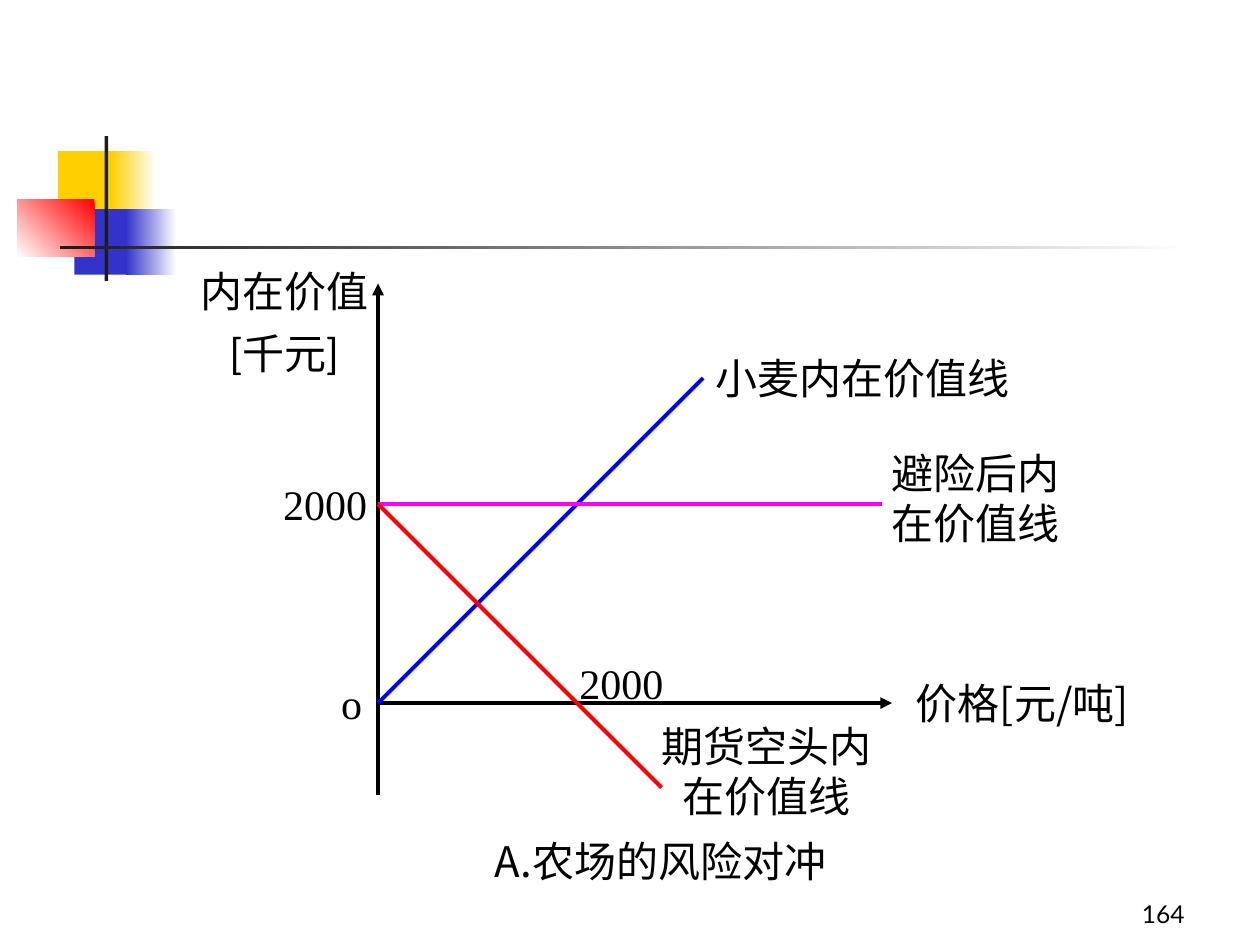
from lxml.etree import SubElement
from pptx import Presentation
from pptx.dml.color import RGBColor
from pptx.enum.shapes import MSO_CONNECTOR, MSO_SHAPE
from pptx.enum.text import MSO_ANCHOR, MSO_AUTO_SIZE, PP_ALIGN
from pptx.oxml.ns import qn
from pptx.util import Inches, Pt

BLACK = RGBColor(0x00, 0x00, 0x00)
WHITE = RGBColor(0xFF, 0xFF, 0xFF)
CHARCOAL = RGBColor(0x1C, 0x1C, 0x1C)
GOLD = RGBColor(0xFF, 0xCF, 0x01)
INDIGO = RGBColor(0x33, 0x33, 0xCC)
RED = RGBColor(0xFF, 0x00, 0x00)
BLUE = RGBColor(0x00, 0x00, 0xFF)
MAGENTA = RGBColor(0xFF, 0x00, 0xFF)

LATO, NOTO, TIMES = "Lato", "Noto Sans CJK SC", "Times New Roman"
LEFT, CENTER, RIGHT = PP_ALIGN.LEFT, PP_ALIGN.CENTER, PP_ALIGN.RIGHT

ORNAMENT = [
    ((0.46, 1.2, 0.48, 0.52), [GOLD], None),
    ((0.88, 1.2, 0.36, 0.52), [WHITE, GOLD], 180),
    ((0.59, 1.66, 0.46, 0.52), [INDIGO], None),
    ((1, 1.66, 0.4, 0.52), [WHITE, INDIGO], 180),
    ((0.14, 1.58, 0.61, 0.46), [RED, WHITE], 225),
    ((0.83, 1.08, 0.03, 1.15), [CHARCOAL], None),
    ((0.48, 1.95, 9, 0.03), [WHITE, CHARCOAL], 180),
]

AXIS_X, ZERO_Y, HEDGE_Y = 3, 5.58, 4
WHEAT_RUN, SHORT_RUN = 2.58, 2.25
LINES = [
    ((AXIS_X, ZERO_Y), (7.08, ZERO_Y), BLACK, True),
    ((AXIS_X, 6.31), (AXIS_X, 2.25), BLACK, True),
    ((AXIS_X, ZERO_Y), (AXIS_X + WHEAT_RUN, ZERO_Y - WHEAT_RUN), BLUE, False),
    ((AXIS_X, HEDGE_Y), (7, HEDGE_Y), MAGENTA, False),
    ((AXIS_X, HEDGE_Y), (AXIS_X + SHORT_RUN, HEDGE_Y + SHORT_RUN), RED, False),
]

LABELS = [
    (["内在价值", "[千元]"], (1.42, 2.17, 1.67, 0.87), LATO, CENTER, {"line_spacing": 0.7}),
    (["价格[元/吨]"], (7.17, 5.33, 1.92, 0.9), NOTO, LEFT, {}),
    (["小麦内在价值线"], (5.58, 2.75, 2.67, 0.5), LATO, LEFT, {}),
    (["避险后内在价值线"], (6.83, 3.5, 1.83, 0.9), LATO, CENTER, {}),
    (["期货空头内在价值线"], (5.08, 5.67, 2, 0.9), LATO, CENTER, {}),
    (["A.农场的风险对冲"], (3.83, 6.58, 2.92, 0.5), NOTO, LEFT, {}),
    (["2000"], (4.5, 5.17, 1, 0.5), TIMES, LEFT, {}),
    (["2000"], (2.08, 3.75, 1, 0.5), TIMES, CENTER, {}),
    (["o"], (2.58, 5.33, 0.42, 0.5), TIMES, CENTER, {}),
]
PAGE_NUMBER = (["164"], (7.42, 6.92, 2.08, 0.5), LATO, RIGHT, {})

LABEL_FRAME = {"word_wrap": True, "auto_size": MSO_AUTO_SIZE.SHAPE_TO_FIT_TEXT}
NUMBER_FRAME = {"word_wrap": True, "vertical_anchor": MSO_ANCHOR.BOTTOM}


def apply(target, values):
    for name, value in values.items():
        setattr(target, name, value)


def add_block(slide, box, colors, angle):
    block = slide.shapes.add_shape(MSO_SHAPE.RECTANGLE, *map(Inches, box))
    block.shadow.inherit = False
    block.line.fill.background()
    if angle is None:
        block.fill.solid()
        block.fill.fore_color.rgb = colors[0]
        return
    block.fill.gradient()
    block.fill.gradient_angle = angle
    for stop, color, position in zip(block.fill.gradient_stops, colors, (0, 1)):
        stop.color.rgb = color
        stop.position = position


def add_line(slide, start, end, color, arrow):
    line = slide.shapes.add_connector(MSO_CONNECTOR.STRAIGHT, *map(Inches, start + end))
    line.line.color.rgb = color
    line.line.width = Pt(2.25)
    if arrow:
        SubElement(line.line._get_or_add_ln(), qn("a:tailEnd"), type="triangle")
    SubElement(line._element.spPr, qn("a:effectLst"))


def add_label(slide, texts, box, face, align, spacing, frame_format, size):
    frame = slide.shapes.add_textbox(*map(Inches, box)).text_frame
    apply(frame, frame_format)
    for index, text in enumerate(texts):
        paragraph = frame.add_paragraph() if index else frame.paragraphs[0]
        apply(paragraph, {"alignment": align, "space_before": Pt(15 if index else 0), **spacing})
        run = paragraph.add_run()
        run.text = text
        apply(run.font, {"name": face, "size": Pt(size)})
        run.font.color.rgb = BLACK
        SubElement(run.font._element, qn("a:ea"), typeface=NOTO)


def main():
    deck = Presentation()
    apply(deck, {"slide_width": Inches(10), "slide_height": Inches(7.5)})
    slide = deck.slides.add_slide(deck.slide_layouts[6])
    for block in ORNAMENT:
        add_block(slide, *block)
    for line in LINES:
        add_line(slide, *line)
    for label in LABELS:
        add_label(slide, *label, LABEL_FRAME, 24)
    add_label(slide, *PAGE_NUMBER, NUMBER_FRAME, 14)
    deck.save("out.pptx")


if __name__ == "__main__":
    main()
